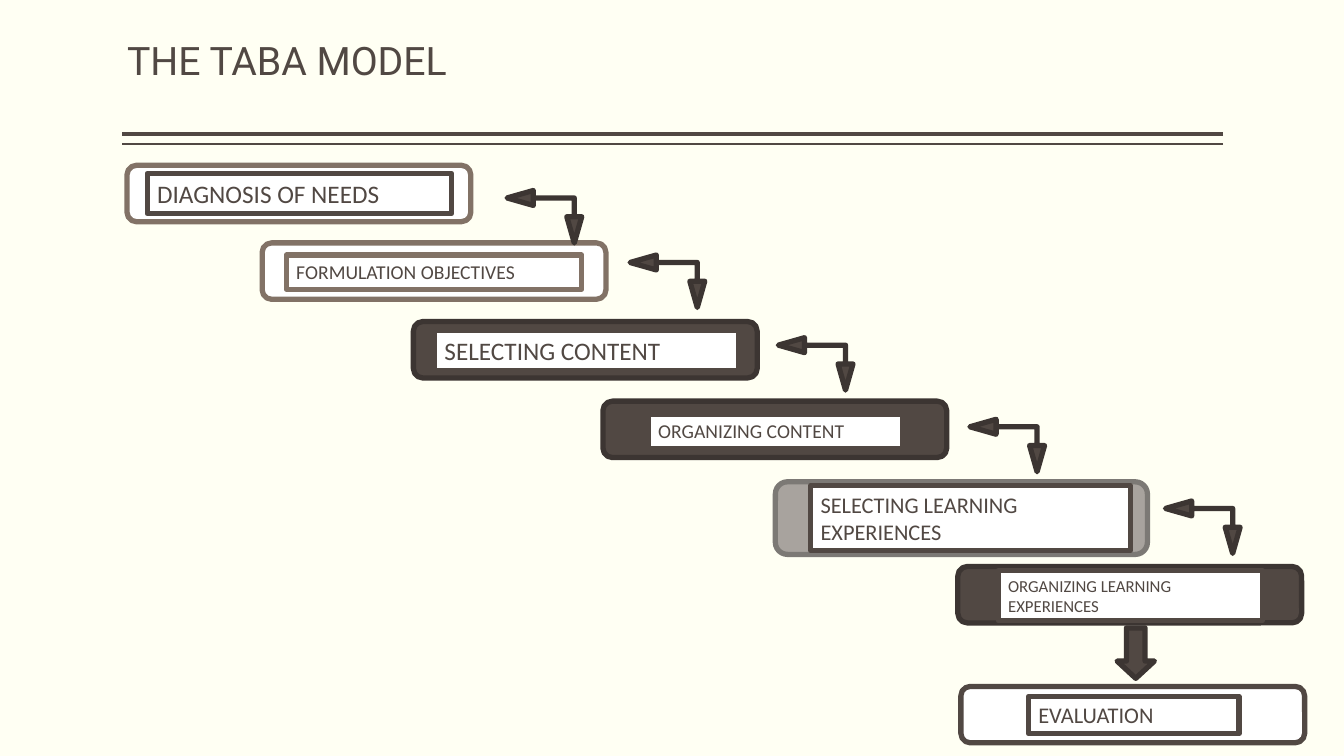
from lxml import etree
from pptx import Presentation
from pptx.dml.color import RGBColor
from pptx.enum import shapes, text
from pptx.oxml.ns import qn
from pptx.util import Inches, Pt

CREAM = RGBColor(0xFF, 0xFF, 0xF3)
WHITE = RGBColor(0xFF, 0xFF, 0xFF)
BROWN = RGBColor(0x51, 0x48, 0x43)
DARK = RGBColor(0x3C, 0x35, 0x32)
TAN = RGBColor(0x82, 0x72, 0x66)
GREY = RGBColor(0xA8, 0xA3, 0x9E)
DARK_GREY = RGBColor(0x7C, 0x79, 0x75)

TITLE = "THE TABA MODEL"
BORDER = 3.78
FRAME_SIZE = (3.41, 0.56)
WIDE_FRAME_SIZE = (3.69, 0.72)
BEND_SIZE = (0.52, 0.74)

# Step: label, font size, label box, label line, frame corner, frame size, frame fill, frame line
STEPS = [
    ("DIAGNOSIS OF NEEDS", 18, (1.46, 1.72, 3.02, 0.4), BROWN,
     (1.26, 1.64), FRAME_SIZE, WHITE, TAN),
    ("FORMULATION OBJECTIVES", 14, (2.84, 2.53, 2.93, 0.34), TAN,
     (2.6, 2.41), FRAME_SIZE, WHITE, TAN),
    ("SELECTING CONTENT", 18, (4.31, 3.28, 3.02, 0.4), BROWN,
     (4.1, 3.19), FRAME_SIZE, BROWN, DARK),
    ("ORGANIZING CONTENT", 14, (6.43, 4.11, 2.52, 0.34), BROWN,
     (5.98, 3.98), FRAME_SIZE, BROWN, DARK),
    ("SELECTING LEARNING EXPERIENCES", 16, (8.04, 4.82, 3.17, 0.64), BROWN,
     (7.69, 4.78), WIDE_FRAME_SIZE, GREY, DARK_GREY),
    ("ORGANIZING LEARNING EXPERIENCES", 12, (9.9, 5.66, 2.62, 0.5), BROWN,
     (9.5, 5.62), FRAME_SIZE, BROWN, DARK),
    ("EVALUATION", 16, (10.2, 6.91, 2.09, 0.37), BROWN,
     (9.53, 6.81), FRAME_SIZE, WHITE, BROWN),
]
BENDS = [(5.14, 1.78), (6.36, 2.42), (7.83, 3.24), (9.73, 4.05), (11.67, 4.86)]
DOWN_ARROW = (11.08, 6.23, 0.37, 0.5)
RULES = [(1.33, 3), (1.43, 1)]  # height on the slide, width


def add_block(s, kind, box, fill, line, adjustments=()):
    sp = s.shapes.add_shape(kind, *map(Inches, box))
    sp.shadow.inherit = False
    sp.fill.solid()
    sp.fill.fore_color.rgb = fill
    sp.line.color.rgb = line
    sp.line.width = Pt(BORDER)
    for i, value in enumerate(adjustments):
        sp.adjustments[i] = value
    return sp


def write(sp, words, size, font="Calibri", color=BROWN,
          anchor=text.MSO_ANCHOR.TOP, fit=text.MSO_AUTO_SIZE.NONE, spacing=None):
    tf = sp.text_frame
    tf.word_wrap = True
    tf.auto_size = fit
    tf.vertical_anchor = anchor
    p = tf.paragraphs[0]
    p.alignment = text.PP_ALIGN.LEFT
    p.line_spacing = spacing
    r = p.add_run()
    r.text = words
    r.font.size = Pt(size)
    r.font.name = font
    r.font.color.rgb = color


def main():
    prs = Presentation()
    prs.slide_width, prs.slide_height = Inches(13.33), Inches(7.5)
    s = prs.slides.add_slide(prs.slide_layouts[5])
    s.background.fill.solid()
    s.background.fill.fore_color.rgb = CREAM

    # Title
    title = s.shapes.title
    title.left, title.top, title.width, title.height = map(Inches, (1.26, 0.07, 10.92, 0.81))
    title.text_frame.margin_left = title.text_frame.margin_right = 0
    write(title, TITLE, 28, font="Roboto", anchor=text.MSO_ANCHOR.BOTTOM, spacing=0.9)

    # Double rule under the title
    for y, width in RULES:
        rule = s.shapes.add_connector(shapes.MSO_CONNECTOR.STRAIGHT,
                                      Inches(12.13), Inches(y), Inches(1.21), Inches(y))
        rule.line.color.rgb = BROWN
        rule.line.width = Pt(width)
        etree.SubElement(rule._element.spPr, qn("a:effectLst"))

    # Steps: a rounded frame with a label box on it
    for words, size, box, edge, corner, frame_size, fill, line in STEPS:
        add_block(s, shapes.MSO_SHAPE.ROUNDED_RECTANGLE, corner + frame_size, fill, line)
        label = add_block(s, shapes.MSO_SHAPE.RECTANGLE, box, WHITE, edge)
        write(label, words, size, fit=text.MSO_AUTO_SIZE.SHAPE_TO_FIT_TEXT)

    # Arrows between the steps
    for corner in BENDS:
        bend = add_block(s, shapes.MSO_SHAPE.LEFT_UP_ARROW, corner + BEND_SIZE,
                         BROWN, DARK, (0, 0.142, 0.5))
        bend.rotation = 270
    add_block(s, shapes.MSO_SHAPE.DOWN_ARROW, DOWN_ARROW, BROWN, DARK, (0.5, 0.462))

    prs.save("out.pptx")


if __name__ == "__main__":
    main()
